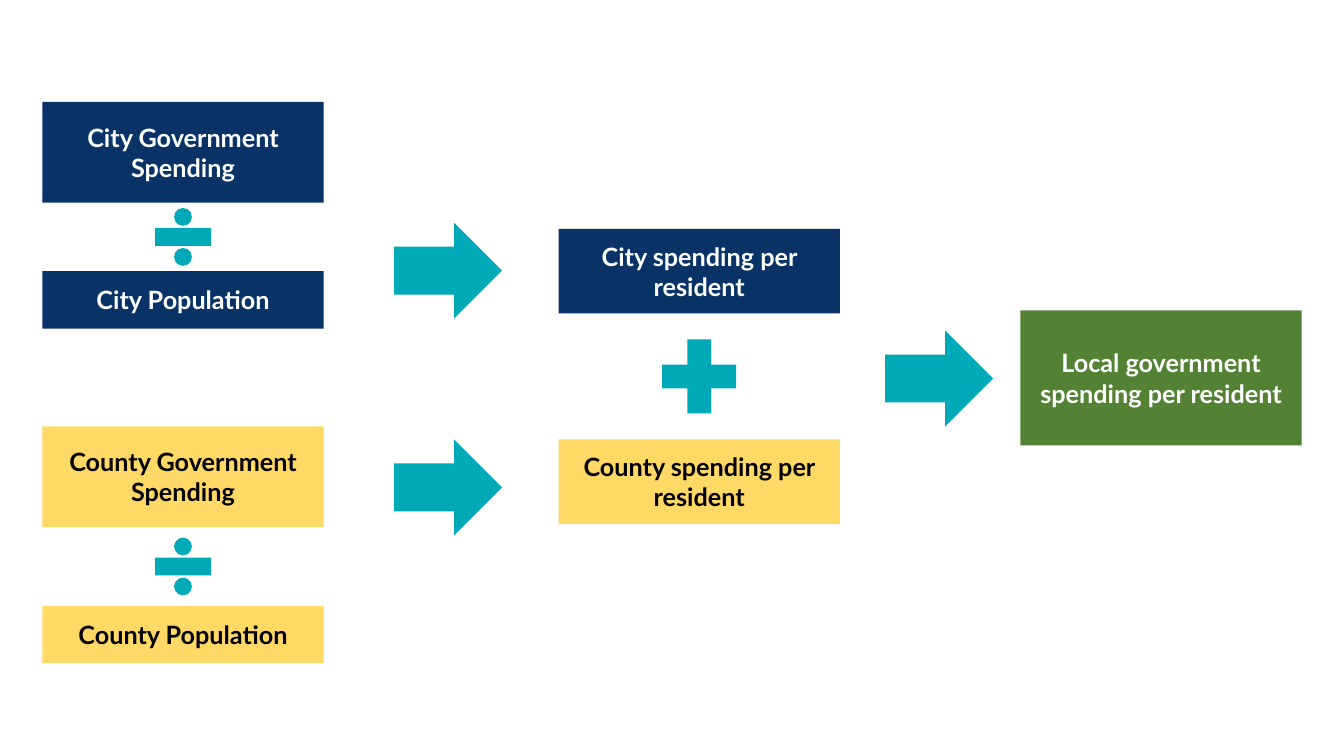
from collections import namedtuple
from dataclasses import dataclass
from pptx import Presentation
from pptx import util as u
from pptx.dml.color import RGBColor
from pptx.enum import shapes, text

Box = namedtuple("Box", "x y w h")
Tone = namedtuple("Tone", "fill ink")
Kind = shapes.MSO_SHAPE


@dataclass(frozen=True)
class Theme:
    city: Tone = Tone("093266", "FFFFFF")
    county: Tone = Tone("FFD966", "000000")
    local: Tone = Tone("548235", "FFFFFF")
    sign: str = "00A9B7"
    face: str = "Lato"
    size: int = 18


theme = Theme()
ROWS = 75
deck = Presentation()
deck.slide_width, deck.slide_height = u.Inches(13.33), u.Inches(7.5)
cell = deck.slide_height / ROWS
slide = deck.slides.add_slide(deck.slide_layouts[6])


def style(item, form):
    for name, value in form.items():
        setattr(item, name, value)


def draw(kind, box, fill):
    shape = slide.shapes.add_shape(kind, *(round(side * cell) for side in box))
    shape.shadow.inherit = False
    shape.fill.solid()
    shape.fill.fore_color.rgb = RGBColor.from_string(fill)
    shape.line.fill.background()
    return shape


def card(box, words, tone):
    frame = draw(Kind.RECTANGLE, box, tone.fill).text_frame
    style(frame, {"word_wrap": True, "vertical_anchor": text.MSO_ANCHOR.MIDDLE})
    para = frame.paragraphs[0]
    para.alignment = text.PP_ALIGN.CENTER
    run = para.add_run()
    run.text = words
    style(run.font, {"name": theme.face, "size": u.Pt(theme.size), "bold": True})
    run.font.color.rgb = RGBColor.from_string(tone.ink)


def stack(box, parts, kind, size):
    (upper, top, tone), (lower, low, base) = parts
    card(box._replace(h=top), upper, tone)
    card(box._replace(y=box.y + box.h - low, h=low), lower, base)
    mid = box.y + (top + box.h - low) / 2
    draw(kind, Box(box.x + (box.w - size) / 2, mid - size / 2, size, size), theme.sign)


def ratio(box, name, tone):
    parts = [(f"{name} Government Spending", 10, tone),
             (f"{name} Population", 5.7, tone)]
    stack(box, parts, Kind.MATH_DIVIDE, 7.5)


def total(box):
    parts = [("City spending per resident", 8.4, theme.city),
             ("County spending per resident", 8.4, theme.county)]
    stack(box, parts, Kind.MATH_PLUS, 10)


def flow(left, top):
    draw(Kind.RIGHT_ARROW, Box(left, top, 10.7, 9.5), theme.sign)


WIDE = 27.9
ratio(Box(4.2, 10.1, WIDE, 22.5), "City", theme.city)
ratio(Box(4.2, 42.3, WIDE, 23.5), "County", theme.county)
total(Box(55.4, 22.7, WIDE, 29.3))
card(Box(101.2, 30.8, WIDE, 13.4), "Local government spending per resident", theme.local)
for spot in ((39.1, 22.1), (39.1, 43.6), (87.8, 32.8)):
    flow(*spot)

deck.save("out.pptx")
